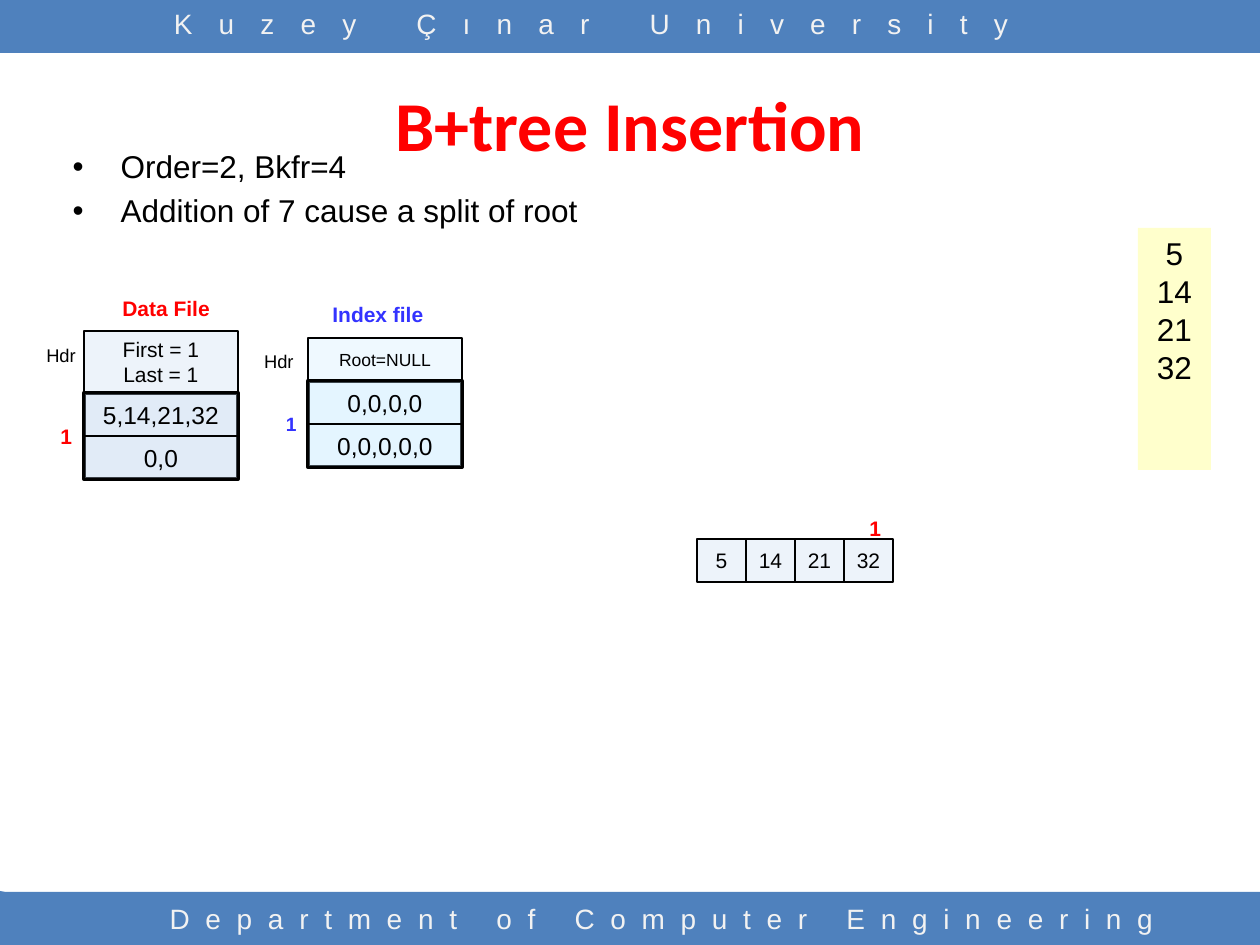
from dataclasses import dataclass

from lxml.etree import SubElement
from pptx import Presentation
from pptx.dml.color import RGBColor
from pptx.enum.shapes import MSO_SHAPE
from pptx.enum.text import MSO_ANCHOR, PP_ALIGN
from pptx.oxml.ns import qn
from pptx.util import Emu, Pt

SCALE = 914400 // 126
BLUE, RED, INDIGO, BLACK = "4F81BD", "FF0000", "3333FF", "000000"
PALE_BLUE, PALE_CYAN = "C6D9F1", "CCECFF"
LEFT, CENTER, RIGHT = PP_ALIGN.LEFT, PP_ALIGN.CENTER, PP_ALIGN.RIGHT
CELL_HEIGHT = 43


@dataclass
class Cell:
    left: int
    top: int
    width: int
    height: int
    text: str
    size: float
    fill: str
    line: float = 0.75


@dataclass
class Label:
    left: int
    top: int
    width: int
    height: int
    text: str
    size: float
    color: str = BLACK
    bold: bool = False
    align: PP_ALIGN = LEFT
    wrap: bool = False
    spacing: int = 0


def px(length: int) -> Emu:
    return Emu(length * SCALE)


def rgb(value: str) -> RGBColor:
    return RGBColor.from_string(value)


def place(shape, left: int, top: int, width: int, height: int) -> None:
    shape.left, shape.top = px(left), px(top)
    shape.width, shape.height = px(width), px(height)


def write(frame, text: str, size: float, color: str, align: PP_ALIGN,
          bold: bool = False, font: str = "Arial", spacing: int = 0) -> None:
    frame.text = text
    for paragraph in frame.paragraphs:
        paragraph.alignment = align
        for run in paragraph.runs:
            run.font.size, run.font.name, run.font.bold = Pt(size), font, bold
            run.font.color.rgb = rgb(color)
            if spacing:
                run.font._element.set("spc", str(spacing * 100))


def paint(shape, color: str) -> None:
    shape.shadow.inherit = False
    shape.fill.solid()
    shape.fill.fore_color.rgb = rgb(color)
    shape.line.fill.background()


def add_block(shapes, left: int, top: int, width: int, height: int, color: str):
    block = shapes.add_shape(MSO_SHAPE.RECTANGLE, px(left), px(top), px(width), px(height))
    paint(block, color)
    return block


def add_cell(shapes, cell: Cell) -> None:
    box = add_block(shapes, cell.left, cell.top, cell.width, cell.height, cell.fill)
    tint = box.fill._xPr.find(qn("a:solidFill"))[0]
    SubElement(tint, qn("a:alpha")).set("val", "30000")
    box.line.color.rgb = rgb(BLACK)
    box.line.width = Pt(cell.line)
    if cell.text:
        frame = box.text_frame
        frame.margin_left = frame.margin_right = 0
        frame.vertical_anchor = MSO_ANCHOR.MIDDLE
        write(frame, cell.text, cell.size, BLACK, CENTER)


def add_label(shapes, label: Label) -> None:
    box = shapes.add_textbox(px(label.left), px(label.top), px(label.width), px(label.height))
    box.text_frame.word_wrap = label.wrap
    write(box.text_frame, label.text, label.size, label.color, label.align,
          label.bold, spacing=label.spacing)


def add_file(shapes, left: int, header: Cell, keys: str, pointers: str,
             labels: list[Label]) -> None:
    group = shapes.add_group_shape().shapes
    top = header.top + header.height
    rows = [
        header,
        Cell(left, top, 154, 2 * CELL_HEIGHT, "", 14, header.fill, 2.5),
        Cell(left, top + CELL_HEIGHT, 154, CELL_HEIGHT, pointers, 14, header.fill),
        Cell(left, top, 154, CELL_HEIGHT, keys, 14, header.fill),
    ]
    for row in rows:
        add_cell(group, row)
    for label in labels:
        add_label(group, label)


presentation = Presentation()
presentation.slide_width, presentation.slide_height = px(1260), px(945)
slide = presentation.slides.add_slide(presentation.slide_layouts[1])
shapes = slide.shapes

title, body = shapes.title, slide.placeholders[1]
place(title, 63, 52, 1134, 144)
title.text_frame.vertical_anchor = MSO_ANCHOR.MIDDLE
write(title.text_frame, "B+tree Insertion", 40, RED, CENTER, True, "Calibri")
place(body, 60, 141, 533, 154)
write(body.text_frame, "Order=2, Bkfr=4\nAddition of 7 cause a split of root", 18, BLACK, LEFT)
for bullet in body.text_frame.paragraphs:
    properties = bullet._p.get_or_add_pPr()
    properties.set("marL", str(px(48)))
    properties.set("indent", str(-px(48)))

for band_top in (0, 892):
    add_block(shapes, 0, band_top, 1260, 53, BLUE)
for first, *others in (
    [(111, 893), (116, 893), (116, 945), (59, 945)],
    [(5, 892), (58, 945), (0, 945), (0, 891)],
):
    corner = shapes.build_freeform(first[0], first[1], scale=SCALE)
    corner.add_line_segments(others, close=True)
    paint(corner.convert_to_shape(), BLUE)
for banner in (
    Label(116, 895, 1092, 50, "Department of Computer Engineering", 16, "F2F2F2",
          align=CENTER, wrap=True, spacing=9),
    Label(82, 0, 1019, 53, "Kuzey Çınar University", 16, "F2F2F2",
          align=CENTER, wrap=True, spacing=15),
):
    add_label(shapes, banner)

key_list = add_block(shapes, 1138, 228, 73, 242, "FFFFCC")
key_list.text_frame.vertical_anchor = MSO_ANCHOR.TOP
write(key_list.text_frame, "5\n14\n21\n32", 18, BLACK, CENTER)

leaf = shapes.add_group_shape().shapes
for column, key in enumerate(("5", "14", "21", "32")):
    add_cell(leaf, Cell(697 + 49 * column, 539, 49, CELL_HEIGHT, key, 12, PALE_BLUE))
add_label(leaf, Label(857, 509, 37, 38, "1", 12, RED, True))

add_file(
    shapes, 84, Cell(84, 331, 154, 62, "First = 1\nLast = 1", 12, PALE_BLUE),
    "5,14,21,32", "0,0",
    [
        Label(110, 289, 113, 38, "Data File", 12, RED, True),
        Label(48, 417, 30, 38, "1", 12, RED, True, wrap=True),
        Label(30, 338, 62, 35, "Hdr", 10.5, align=CENTER, wrap=True),
    ],
)
add_file(
    shapes, 308, Cell(308, 338, 154, CELL_HEIGHT, "Root=NULL", 10, PALE_CYAN),
    "0,0,0,0", "0,0,0,0,0",
    [
        Label(320, 295, 117, 38, "Index file", 12, INDIGO, True),
        Label(272, 406, 37, 37, "1", 11, INDIGO, True, RIGHT, True),
        Label(251, 344, 55, 35, "Hdr", 10.5, align=RIGHT),
    ],
)

presentation.save("out.pptx")
